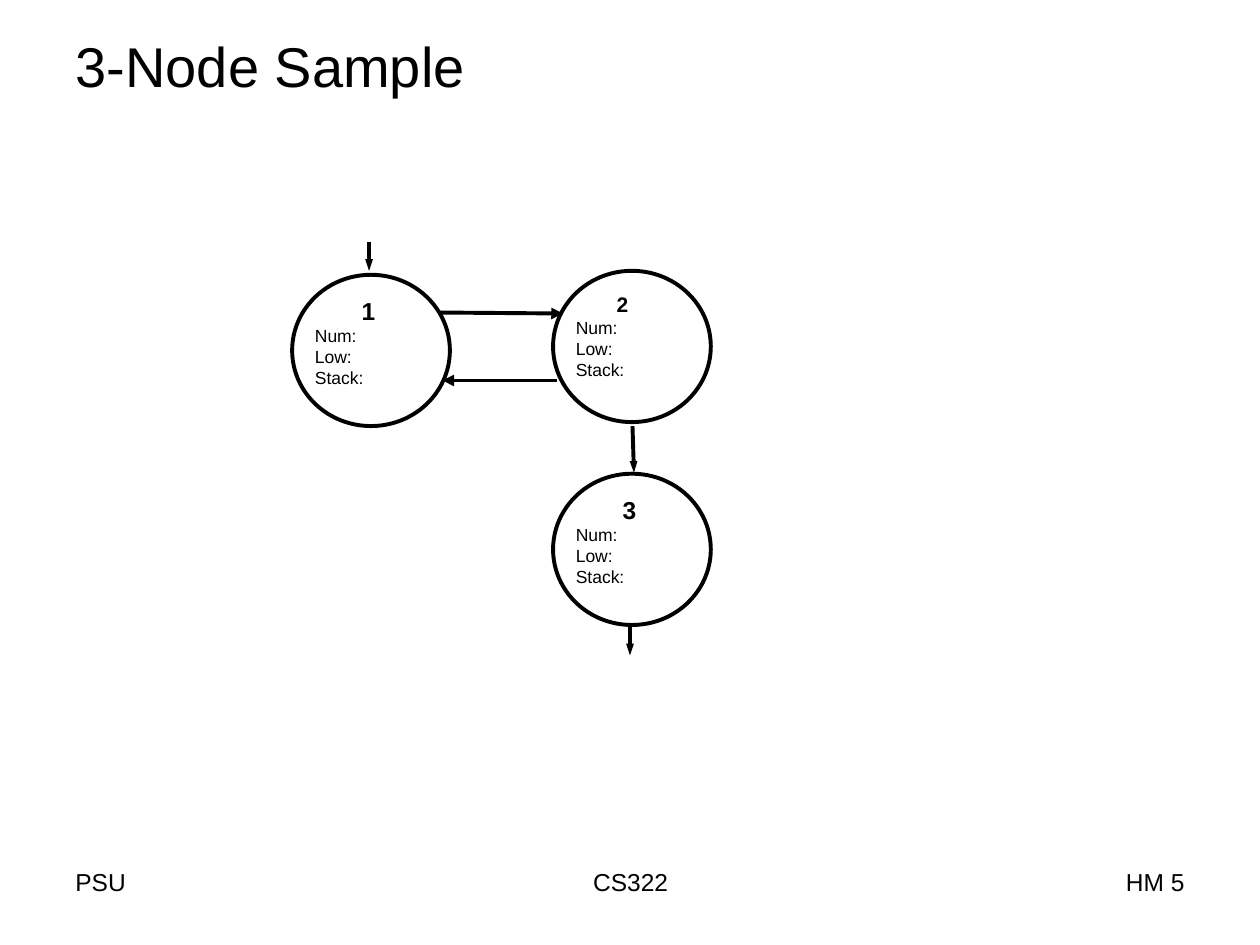
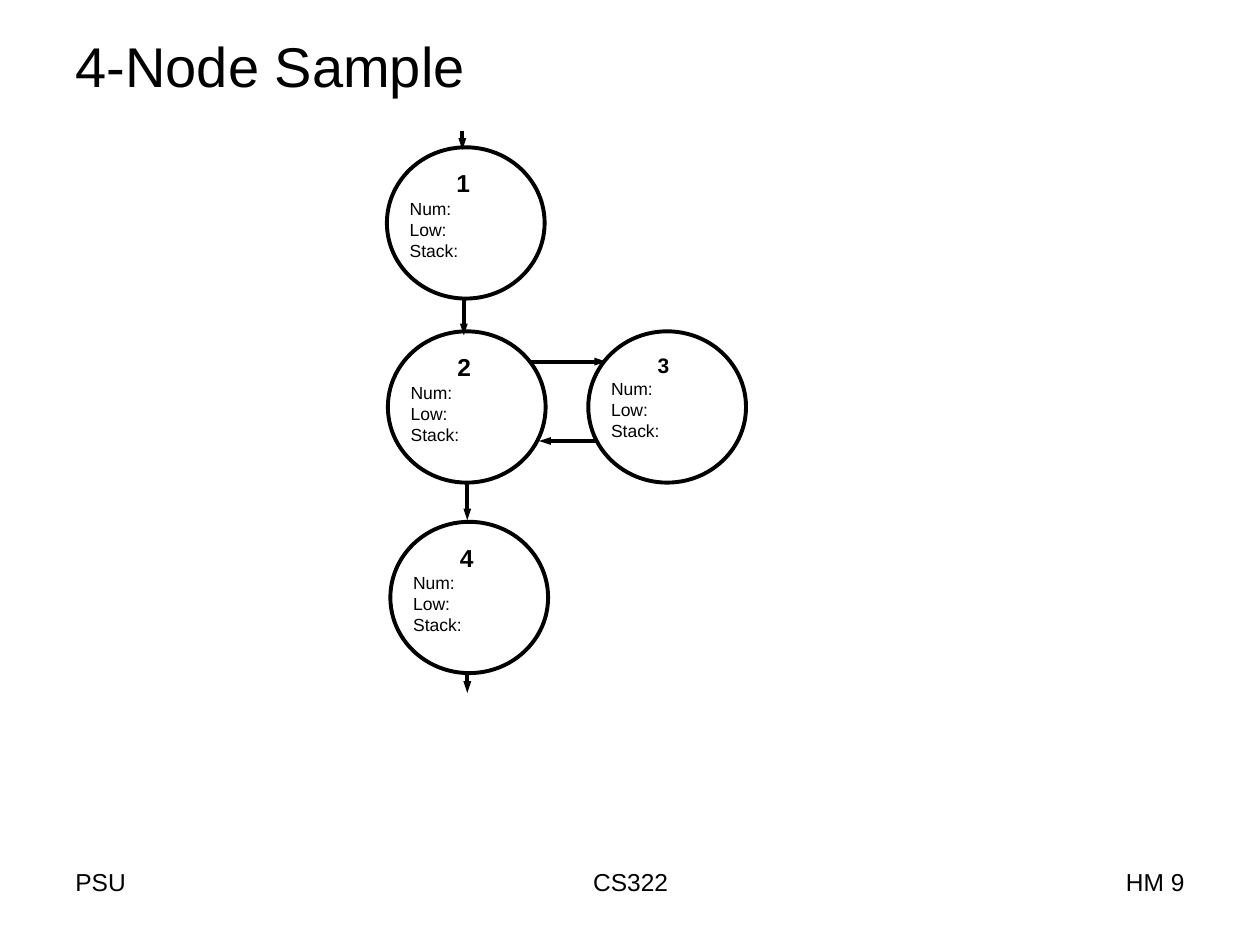
from dataclasses import dataclass

import pptx
import pptx.dml.color
import pptx.enum.shapes
import pptx.enum.text
import pptx.oxml
import pptx.oxml.ns
import pptx.presentation
import pptx.shapes.base
import pptx.slide
import pptx.text.text
import pptx.util

Cm = pptx.util.Cm
Pt = pptx.util.Pt
Align = pptx.enum.text.PP_ALIGN

FONT = "Arial"
INK = "000000"
LINE_WIDTH = 2.25
NODE_WIDTH, NODE_HEIGHT = 3.18, 3.05
LABEL_LEFT, LABEL_TOP, LABEL_WIDTH, LABEL_HEIGHT = 0.21, 0.3, 2.69, 2.13
FIELDS = ("Num:", "Low:", "Stack:")
MARGIN = 1.27
FOOTER_TOP, FOOTER_HEIGHT = 17.35, 1.32


@dataclass(frozen=True)
class Node:
    """A circle of the graph; lengths are centimetres."""
    name: str
    left: float
    top: float
    name_size: float = 14
    name_indent: float = 0.94


@dataclass(frozen=True)
class Arrow:
    start: tuple[float, float]
    end: tuple[float, float]
    head_width: str = "sm"


@dataclass(frozen=True)
class Graph:
    title: str
    page: str
    nodes: tuple[Node, ...]
    arrows: tuple[Arrow, ...]


@dataclass(frozen=True)
class Footer:
    left: float
    width: float
    alignment: Align


FOOTERS = (
    Footer(MARGIN, 5.92, Align.LEFT),
    Footer(8.69, 8.05, Align.CENTER),
    Footer(18.21, 5.92, Align.RIGHT),
)

GRAPHS = (
    Graph(
        "3-Node Sample", "HM 5",
        (
            Node("1", 5.89, 5.54),
            Node("2", 11.15, 5.46, name_size=12, name_indent=0.82),
            Node("3", 11.15, 9.55),
        ),
        (
            Arrow((7.44, 4.88), (7.44, 5.46)),
            Arrow((8.86, 6.3), (11.35, 6.32), "med"),
            Arrow((11.23, 7.67), (8.92, 7.67), "med"),
            Arrow((12.75, 8.59), (12.78, 9.53)),
            Arrow((12.7, 12.62), (12.7, 13.21)),
        ),
    ),
    Graph(
        "4-Node Sample", "HM 9",
        (
            Node("1", 7.8, 2.97),
            Node("2", 7.82, 6.68),
            Node("3", 11.86, 6.68, name_size=12),
            Node("4", 7.87, 10.52),
        ),
        (
            Arrow((9.32, 2.64), (9.32, 3.02)),
            Arrow((9.35, 6.05), (9.35, 6.76)),
            Arrow((10.69, 7.29), (12.22, 7.29)),
            Arrow((12.01, 8.89), (10.87, 8.89)),
            Arrow((9.42, 9.75), (9.42, 10.49)),
            Arrow((9.42, 13.59), (9.42, 13.97)),
        ),
    ),
)


def color(value: str) -> pptx.dml.color.RGBColor:
    return pptx.dml.color.RGBColor.from_string(value)


def add_run(paragraph: pptx.text.text._Paragraph, text: str, size: float,
            bold: bool = False) -> None:
    run = paragraph.add_run()
    run.text = text
    run.font.name = FONT
    run.font.size = Pt(size)
    run.font.bold = bold
    run.font.color.rgb = color(INK)


def place(shape: pptx.shapes.base.BaseShape, left: float, top: float,
          width: float, height: float) -> None:
    shape.left, shape.top = Cm(left), Cm(top)
    shape.width, shape.height = Cm(width), Cm(height)


def add_title(slide: pptx.slide.Slide, text: str) -> None:
    title = slide.shapes.title
    place(title, MARGIN, 0.43, 22.86, 1.78)
    frame = title.text_frame
    frame.auto_size = pptx.enum.text.MSO_AUTO_SIZE.NONE
    frame.vertical_anchor = pptx.enum.text.MSO_ANCHOR.MIDDLE
    paragraph = frame.paragraphs[0]
    paragraph.alignment = Align.LEFT
    add_run(paragraph, text, 32)


def add_footers(slide: pptx.slide.Slide, page: str) -> None:
    for footer, text in zip(FOOTERS, ("PSU", "CS322", page)):
        box = slide.shapes.add_textbox(Cm(footer.left), Cm(FOOTER_TOP),
                                       Cm(footer.width), Cm(FOOTER_HEIGHT))
        box.text_frame.word_wrap = True
        paragraph = box.text_frame.paragraphs[0]
        paragraph.alignment = footer.alignment
        add_run(paragraph, text, 14)


def add_node(slide: pptx.slide.Slide, node: Node) -> None:
    """Draw a circle grouped with its name and field list."""
    group = slide.shapes.add_group_shape()
    circle = group.shapes.add_shape(
        pptx.enum.shapes.MSO_SHAPE.OVAL, Cm(node.left), Cm(node.top),
        Cm(NODE_WIDTH), Cm(NODE_HEIGHT))
    circle.shadow.inherit = False
    circle.fill.background()
    circle.line.color.rgb = color(INK)
    circle.line.width = Pt(LINE_WIDTH)

    label = group.shapes.add_textbox(
        Cm(node.left + LABEL_LEFT), Cm(node.top + LABEL_TOP),
        Cm(LABEL_WIDTH), Cm(LABEL_HEIGHT))
    frame = label.text_frame
    frame.word_wrap = True
    heading = frame.paragraphs[0]
    heading._p.get_or_add_pPr().set("marL", str(Cm(node.name_indent)))
    add_run(heading, node.name, node.name_size, bold=True)
    for field in FIELDS:
        add_run(frame.add_paragraph(), field, 10)


def add_arrow(slide: pptx.slide.Slide, arrow: Arrow) -> None:
    connector = slide.shapes.add_connector(
        pptx.enum.shapes.MSO_CONNECTOR.STRAIGHT,
        *map(Cm, arrow.start + arrow.end))
    connector.line.color.rgb = color(INK)
    connector.line.width = Pt(LINE_WIDTH)
    namespace = pptx.oxml.ns.nsdecls("a")
    connector.line._get_or_add_ln().append(pptx.oxml.parse_xml(
        f'<a:tailEnd {namespace} type="triangle" w="{arrow.head_width}"/>'))
    connector._element.spPr.append(
        pptx.oxml.parse_xml(f"<a:effectLst {namespace}/>"))


def add_graph_slide(presentation: pptx.presentation.Presentation,
                    graph: Graph) -> None:
    title_only = presentation.slide_layouts[5]
    slide = presentation.slides.add_slide(title_only)
    add_footers(slide, graph.page)
    add_title(slide, graph.title)
    for node in graph.nodes:
        add_node(slide, node)
    for arrow in graph.arrows:
        add_arrow(slide, arrow)


def main() -> None:
    presentation = pptx.Presentation()
    presentation.slide_width = Cm(25.4)
    presentation.slide_height = Cm(19.05)
    for graph in GRAPHS:
        add_graph_slide(presentation, graph)
    presentation.save("out.pptx")


if __name__ == "__main__":
    main()
